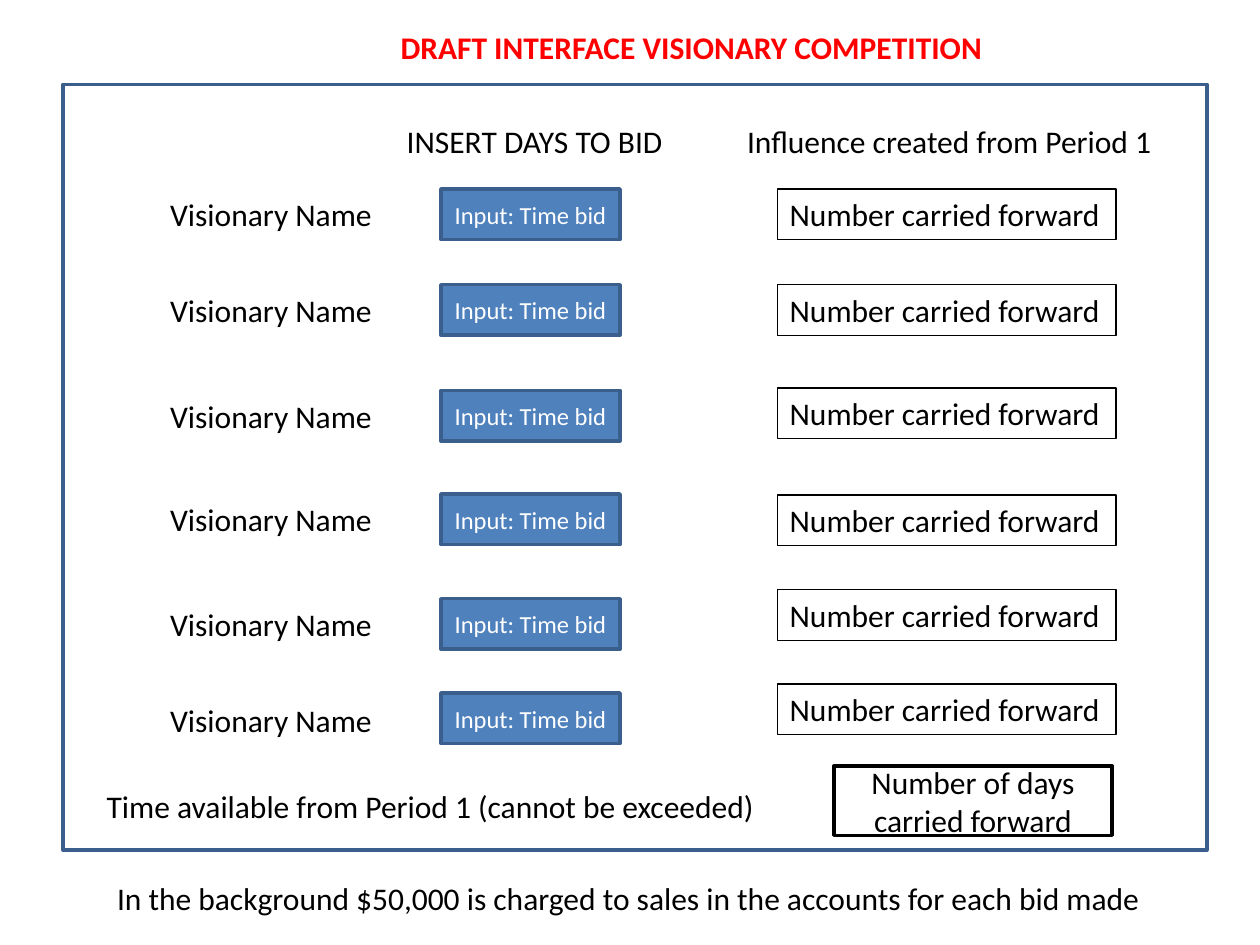
from pptx import Presentation
from pptx.dml.color import RGBColor
from pptx.enum.shapes import MSO_SHAPE
from pptx.enum.text import MSO_ANCHOR, MSO_AUTO_SIZE, PP_ALIGN
from pptx.util import Cm, Pt

RECT = MSO_SHAPE.RECTANGLE
TOP, MIDDLE = MSO_ANCHOR.TOP, MSO_ANCHOR.MIDDLE
LEFT, CENTER = PP_ALIGN.LEFT, PP_ALIGN.CENTER
NO_FIT, GROW = MSO_AUTO_SIZE.NONE, MSO_AUTO_SIZE.SHAPE_TO_FIT_TEXT

THEME = {
    "font": "Calibri",
    "body": Pt(18),
    "input": Pt(14),
    "thin": Pt(0.75),
    "thick": Pt(2),
    "black": RGBColor.from_string("000000"),
    "white": RGBColor.from_string("FFFFFF"),
    "red": RGBColor.from_string("FF0000"),
    "blue": RGBColor.from_string("4F81BD"),
    "navy": RGBColor.from_string("3A5F8C"),
}
LINE_H = 1.02


def write(sp, text, color="black", size="body", bold=False, centered=False, fit=GROW):
    tf = sp.text_frame
    frame = {"word_wrap": centered, "auto_size": fit,
             "vertical_anchor": MIDDLE if centered else TOP}
    for name, value in frame.items():
        setattr(tf, name, value)
    p = tf.paragraphs[0]
    p.alignment = CENTER if centered else LEFT
    r = p.add_run()
    r.text = text
    font = {"name": THEME["font"], "size": THEME[size], "bold": bold}
    for name, value in font.items():
        setattr(r.font, name, value)
    r.font.color.rgb = THEME[color]


def add_box(box, line, weight, fill=None):
    sp = s.shapes.add_shape(RECT, *map(Cm, box))
    sp.shadow.inherit = False
    if fill:
        sp.fill.solid()
        sp.fill.fore_color.rgb = THEME[fill]
    else:
        sp.fill.background()
    sp.line.color.rgb = THEME[line]
    sp.line.width = THEME[weight]
    return sp


prs = Presentation()
prs.slide_width, prs.slide_height = Cm(25.4), Cm(19.05)
s = prs.slides.add_slide(prs.slide_layouts[5])

title = s.shapes.title
title_box = {"left": 7.82, "top": 0.43, "width": 12.34, "height": LINE_H}
for name, value in title_box.items():
    setattr(title, name, Cm(value))
write(title, "DRAFT INTERFACE VISIONARY COMPETITION", "red", bold=True, fit=NO_FIT)

add_box((1.27, 1.7, 23.06, 15.44), "navy", "thick")

labels = [
    ("INSERT DAYS TO BID", 7.95, 2.34, 5.72),
    ("Influence created from Period 1", 14.81, 2.34, 8.76),
    ("Time available from Period 1 (cannot be exceeded)", 1.9, 15.75, 13.72),
    ("In the background $50,000 is charged to sales in the accounts for each bid made",
     2.11, 17.6, 21.39),
]
name_tops = [3.81, 5.74, 7.87, 9.96, 12.07, 14]
input_tops = [3.81, 5.74, 7.87, 9.96, 12.07, 13.97]
number_tops = [3.81, 5.74, 7.82, 9.98, 11.89, 13.79]
labels += [("Visionary Name ", 3.18, top, 4.78) for top in name_tops]

for text, left, top, width in labels:
    sp = s.shapes.add_textbox(Cm(left), Cm(top), Cm(width), Cm(LINE_H))
    write(sp, text)

for input_top, number_top in zip(input_tops, number_tops):
    sp = add_box((8.89, input_top, 3.61, LINE_H), "navy", "thick", "blue")
    write(sp, "Input: Time bid", "white", "input", centered=True, fit=NO_FIT)
    sp = add_box((15.67, number_top, 6.83, LINE_H), "black", "thin")
    write(sp, "Number carried forward")

sp = add_box((16.81, 15.44, 5.61, 1.4), "black", "thick")
write(sp, "Number of days carried forward", centered=True, fit=NO_FIT)

prs.save("out.pptx")
